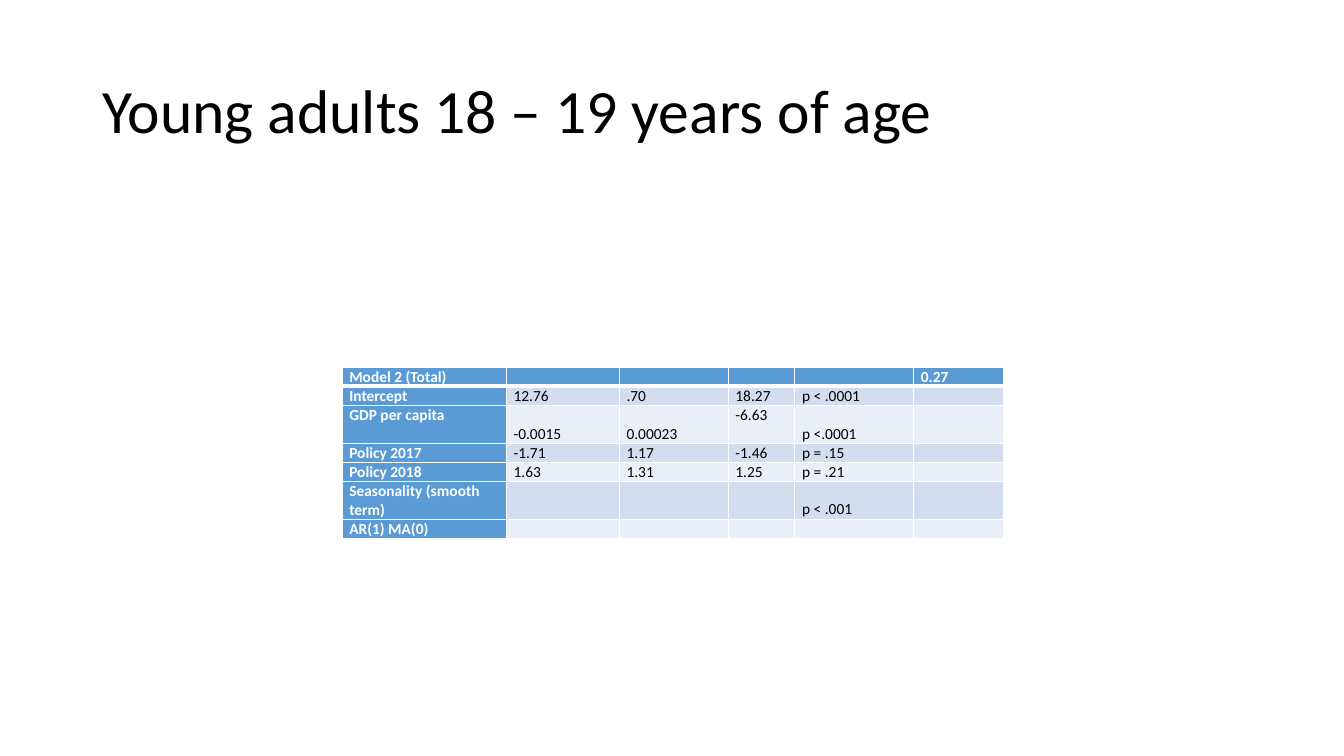
from dataclasses import dataclass
from typing import Any

from lxml.etree import SubElement
from pptx import Presentation
from pptx.dml.color import RGBColor
from pptx.enum.text import MSO_ANCHOR
from pptx.oxml.ns import qn
from pptx.util import Pt


@dataclass(frozen=True)
class Theme:
    font: str = "Calibri"
    title: int = 44
    body: int = 11
    ink: str = "000000"
    light: str = "FFFFFF"
    head: str = "5B9BD5"
    bands: tuple[str, str] = ("EAEFF7", "D2DEEF")


@dataclass(frozen=True)
class Row:
    label: str
    cells: tuple[str, ...] = ("",) * 5
    lines: int = 1


THEME = Theme()
LEFT, TOP, LINE = 244.3, 262.4, 13.57
WIDTHS = (117.4, 80.7, 77.8, 47.6, 84.9, 64)
ROWS = (
    Row("Model 2 (Total)", ("", "", "", "", "0.27")),
    Row("Intercept", ("12.76", ".70", "18.27", "p < .0001", "")),
    Row("GDP per capita", ("-0.0015", "0.00023", "-6.63", "p <.0001", ""), 2),
    Row("Policy 2017", ("-1.71", "1.17", "-1.46", "p = .15", "")),
    Row("Policy 2018", ("1.63", "1.31", "1.25", "p = .21", "")),
    Row("Seasonality (smooth term)", ("", "", "", "p < .001", ""), 2),
    Row("AR(1) MA(0)"),
)
RAISED = "-6.63"


def apply(item: Any, form: dict[str, Any]) -> None:
    for name, value in form.items():
        setattr(item, name, value)


def write(para: Any, text: str, size: int, tint: str, bold: bool = False) -> None:
    if not text:
        SubElement(para._p, qn("a:endParaRPr"), sz=str(size * 100))
        return
    run = para.add_run()
    run.text = text
    apply(run.font, {"name": THEME.font, "size": Pt(size), "bold": bold})
    run.font.color.rgb = RGBColor.from_string(tint)


def edge(cell: Any, side: str, width: int) -> None:
    line = SubElement(cell._tc.get_or_add_tcPr(), qn(f"a:ln{side}"), w=str(Pt(width)))
    fill = SubElement(line, qn("a:solidFill"))
    SubElement(fill, qn("a:srgbClr"), val=THEME.light)


def draw_cell(cell: Any, text: str, row: int, col: int) -> None:
    head = row == 0 or col == 0
    high = head or text == RAISED
    apply(cell, {
        "margin_left": Pt(5.2), "margin_right": Pt(5.2),
        "margin_top": Pt(0), "margin_bottom": Pt(0),
        "vertical_anchor": MSO_ANCHOR.TOP if high else MSO_ANCHOR.BOTTOM,
    })
    for side in "LRTB":
        thick = (row, side) in ((0, "B"), (1, "T"))
        edge(cell, side, 3 if thick else 1)
    cell.fill.solid()
    cell.fill.fore_color.rgb = RGBColor.from_string(THEME.head if head else THEME.bands[row % 2])
    write(cell.text_frame.paragraphs[0], text, THEME.body, THEME.light if head else THEME.ink, head)


def draw_title(slide: Any, text: str) -> None:
    frame = slide.shapes.add_textbox(Pt(66), Pt(28.8), Pt(828), Pt(104.4)).text_frame
    apply(frame, {"word_wrap": True, "vertical_anchor": MSO_ANCHOR.MIDDLE})
    para = frame.paragraphs[0]
    para.line_spacing = 0.9
    write(para, text, THEME.title, THEME.ink)


def draw_table(slide: Any) -> None:
    high = LINE * sum(row.lines for row in ROWS)
    table = slide.shapes.add_table(
        len(ROWS), len(WIDTHS), Pt(LEFT), Pt(TOP), Pt(sum(WIDTHS)), Pt(high)
    ).table
    table.first_col = True
    for col, width in zip(table.columns, WIDTHS):
        col.width = Pt(width)
    for i, row in enumerate(ROWS):
        table.rows[i].height = Pt(LINE * row.lines)
        for j, text in enumerate((row.label, *row.cells)):
            draw_cell(table.cell(i, j), text, i, j)


def main() -> None:
    deck = Presentation()
    apply(deck, {"slide_width": Pt(960), "slide_height": Pt(540)})
    slide = deck.slides.add_slide(deck.slide_layouts[6])
    draw_title(slide, "Young adults 18 – 19 years of age")
    draw_table(slide)
    deck.save("out.pptx")


if __name__ == "__main__":
    main()
